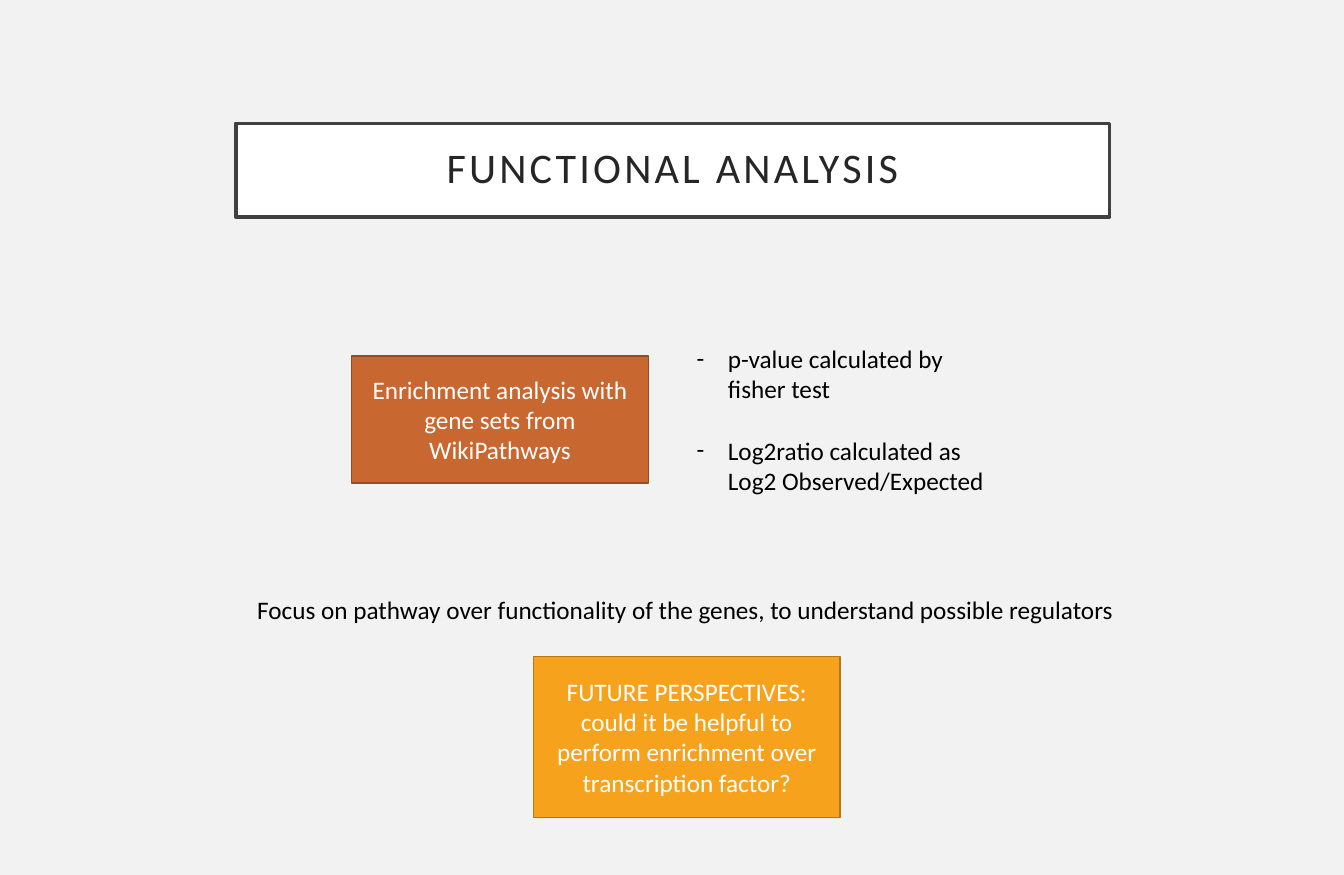
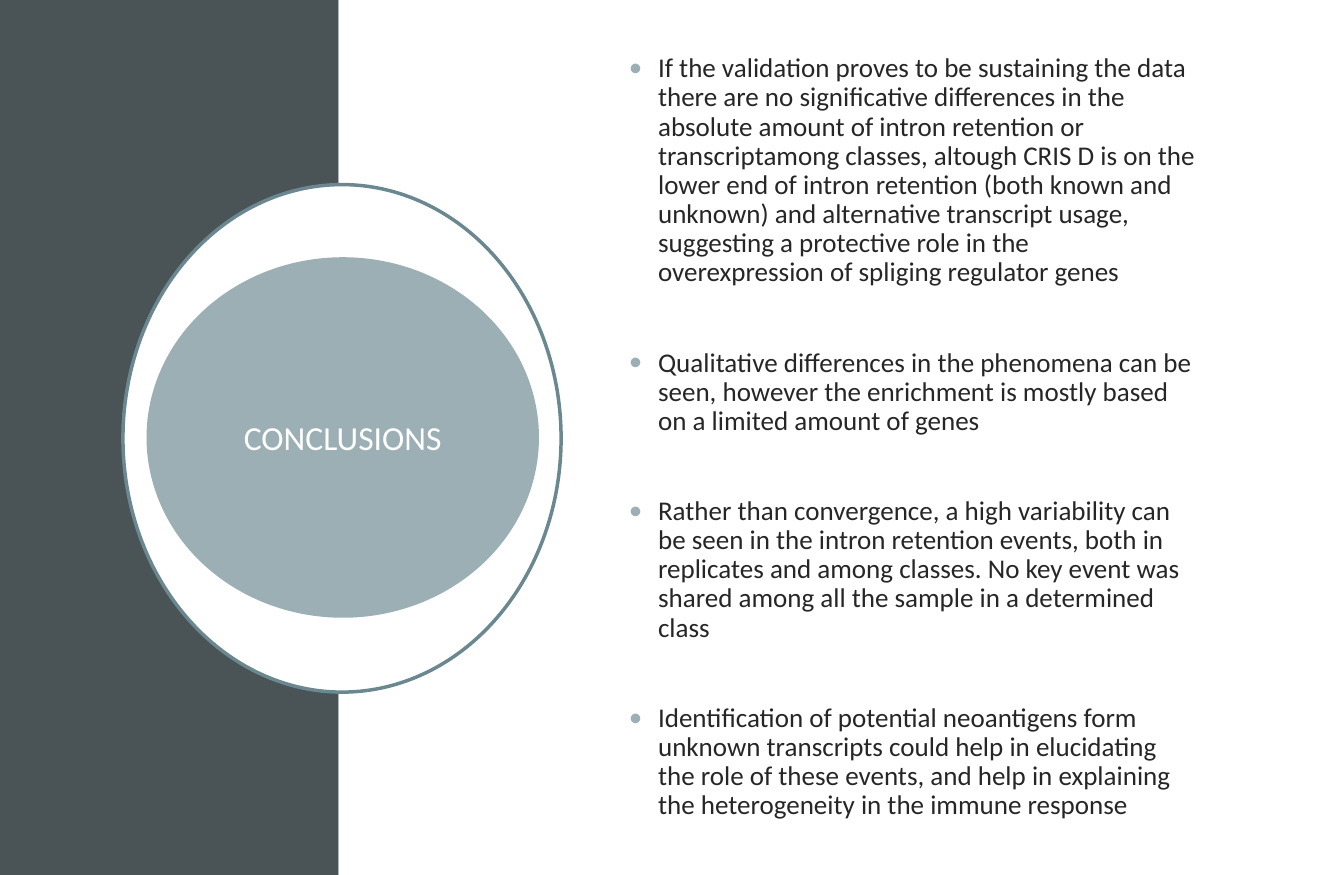
from lxml import etree
from pptx import Presentation
from pptx.dml.color import RGBColor
from pptx.enum.shapes import MSO_SHAPE as SHAPE
from pptx.enum.text import MSO_ANCHOR as ANCHOR, PP_ALIGN as ALIGN
from pptx.oxml.ns import qn
from pptx.util import Inches, Pt

# Shared style
FONT = "Calibri"
WHITE, BLACK, INK = "FFFFFF", "000000", "262626"
SLATE, TEAL, MIST = "4A5356", "6B8891", "9BAFB5"
rgb = RGBColor.from_string

prs = Presentation()
prs.slide_width, prs.slide_height = Inches(13.33), Inches(8.68)


def add_box(s, at, kind=None, fill=None, line=None, weight=1):
    """Place a shape, or a text box if no kind is given; at is in % of the slide."""
    x, y, w, h = at
    W, H = prs.slide_width / 100, prs.slide_height / 100
    pos = int(x * W), int(y * H), int(w * W), int(h * H)
    if kind is None:
        return s.shapes.add_textbox(*pos)
    sp = s.shapes.add_shape(kind, *pos)
    sp.shadow.inherit = False
    sp.fill.solid()
    sp.fill.fore_color.rgb = rgb(fill)
    if line:
        sp.line.color.rgb = rgb(line)
        sp.line.width = Pt(weight)
    else:
        sp.line.fill.background()
    return sp


def write(sp, *texts, size=18, color=BLACK, align=ALIGN.LEFT, anchor=ANCHOR.TOP,
          wrap=True, spacing=None, gap=0, bullet=None, bullet_color=None,
          indent=0, tracking=0, inset=None):
    """Fill a shape with one paragraph per text."""
    tf = sp.text_frame
    tf.word_wrap, tf.vertical_anchor = wrap, anchor
    if inset is not None:
        tf.margin_left = tf.margin_right = tf.margin_top = tf.margin_bottom = Inches(inset)
    for i, text in enumerate(texts):
        p = tf.add_paragraph() if i else tf.paragraphs[0]
        p.alignment = align
        if spacing:
            p.line_spacing = spacing
        if i and gap:
            p.space_before = Pt(gap)
        if bullet:
            pPr = p._p.get_or_add_pPr()
            pPr.set("marL", str(Inches(indent)))
            pPr.set("indent", str(-Inches(indent)))
            if bullet_color:
                clr = etree.SubElement(pPr, qn("a:buClr"))
                etree.SubElement(clr, qn("a:srgbClr"), val=bullet_color)
            etree.SubElement(pPr, qn("a:buFont"), typeface=FONT)
            etree.SubElement(pPr, qn("a:buChar"), char=bullet)
        r = p.add_run()
        r.text = text
        r.font.name, r.font.size = FONT, Pt(size)
        r.font.color.rgb = rgb(color)
        if tracking:
            r._r.get_or_add_rPr().set("spc", str(int(tracking * 100)))


slides = []
for bg in ("F2F2F2", WHITE):
    s = prs.slides.add_slide(prs.slide_layouts[6])
    s.background.fill.solid()
    s.background.fill.fore_color.rgb = rgb(bg)
    slides.append(s)
analysis, conclusions = slides
centred = dict(align=ALIGN.CENTER, anchor=ANCHOR.MIDDLE)

# Functional analysis: framed title
title = add_box(analysis, (17.55, 14.1, 65, 10.7), SHAPE.RECTANGLE, WHITE, "404040", 2.5)
write(title, "FUNCTIONAL ANALYSIS", size=30.1, color=INK, spacing=0.9,
      tracking=2.3, inset=0.2, **centred)

# Functional analysis: coloured cards
cards = [
    ((26.15, 40.7, 22.1, 14.5), "C96731", "954C24",
     "Enrichment analysis with gene sets from WikiPathways"),
    ((39.7, 75, 22.8, 18.4), "F6A21D", "B67815",
     "FUTURE PERSPECTIVES: could it be helpful to perform enrichment "
     "over transcription factor?"),
]
for at, fill, line, text in cards:
    write(add_box(analysis, at, SHAPE.RECTANGLE, fill, line), text, color=WHITE, **centred)

# Functional analysis: method notes and focus line
write(add_box(analysis, (51.1, 38.7, 23.55, 22.1)),
      "p-value calculated by fisher test",
      "Log2ratio calculated as Log2 Observed/Expected",
      bullet="-", indent=0.31, gap=22)
write(add_box(analysis, (18.4, 67.4, 65.3, 4.6)),
      "Focus on pathway over functionality of the genes, "
      "to understand possible regulators", wrap=False)

# Conclusions: side panel, ring and disc
SIDE = 25.2
add_box(conclusions, (0, 0, SIDE, 100), SHAPE.RECTANGLE, SLATE)
add_box(conclusions, (SIDE, 0, 100 - SIDE, 100), SHAPE.RECTANGLE, WHITE)
add_box(conclusions, (9.15, 21.1, 32.6, 58), SHAPE.OVAL, WHITE, TEAL, 2.5)
disc = add_box(conclusions, (10.9, 29.4, 29.2, 41.2), SHAPE.OVAL, MIST)
write(disc, "CONCLUSIONS", size=24, color=WHITE, **centred)

# Conclusions: findings
write(add_box(conclusions, (46.05, 6, 43.7, 88)),
      "If the validation proves to be sustaining the data there are no significative "
      "differences in the absolute amount of intron retention or transcriptamong "
      "classes, altough CRIS D is on the lower end of intron retention (both known "
      "and unknown) and alternative transcript usage, suggesting a protective role "
      "in the overexpression of spliging regulator genes",
      "Qualitative differences in the phenomena can be seen, however the enrichment "
      "is mostly based on a limited amount of genes",
      "Rather than convergence, a high variability can be seen in the intron "
      "retention events, both in replicates and among classes. No key event was "
      "shared among all the sample in a determined class",
      "Identification of potential neoantigens form unknown transcripts could help "
      "in elucidating the role of these events, and help in explaining the "
      "heterogeneity in the immune response",
      size=19.3, color=INK, anchor=ANCHOR.MIDDLE, spacing=0.9, gap=43.5,
      bullet="•", bullet_color=MIST, indent=0.29)

prs.save("out.pptx")
